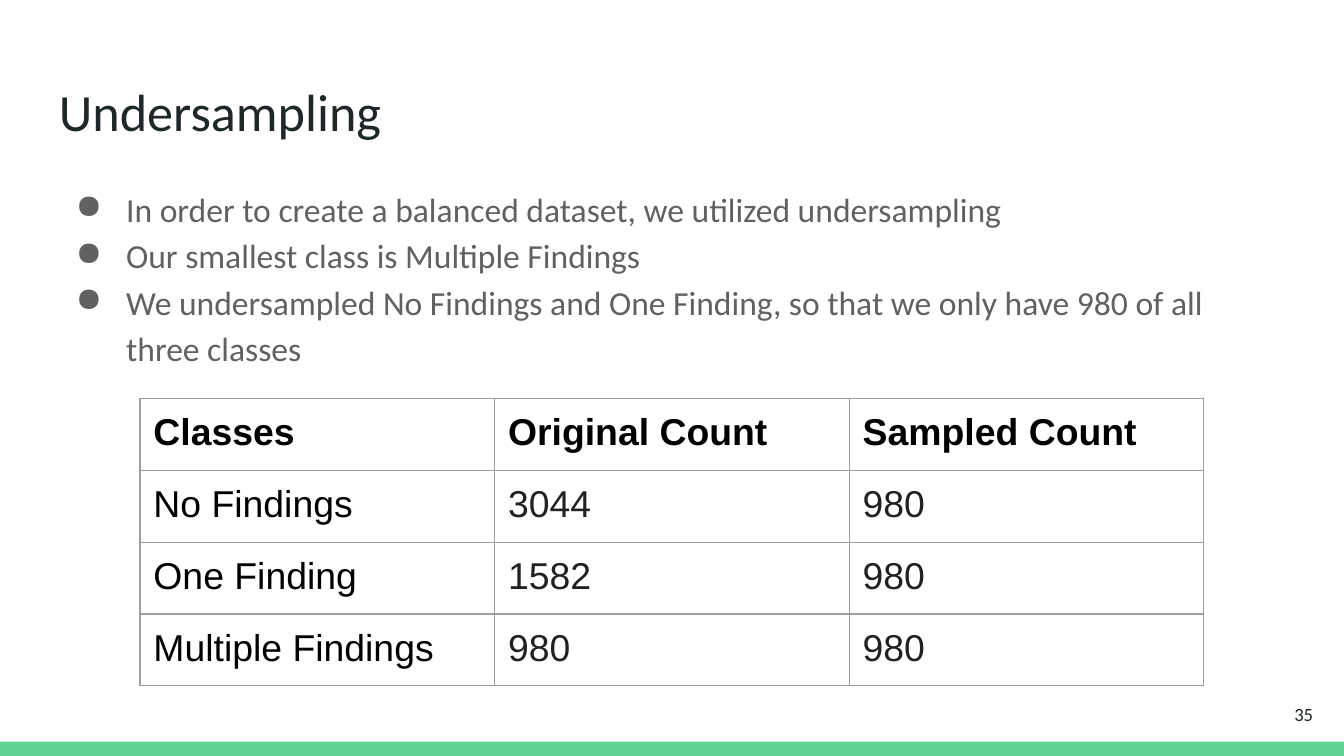
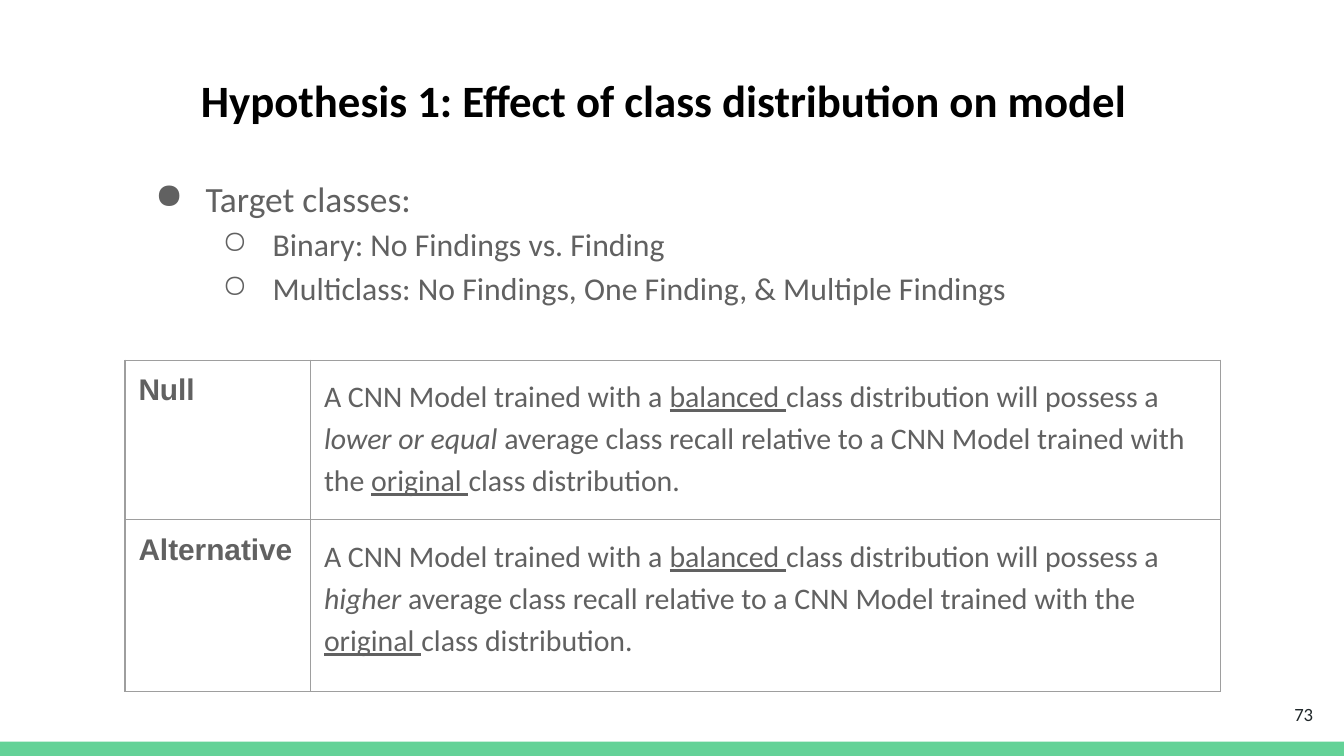
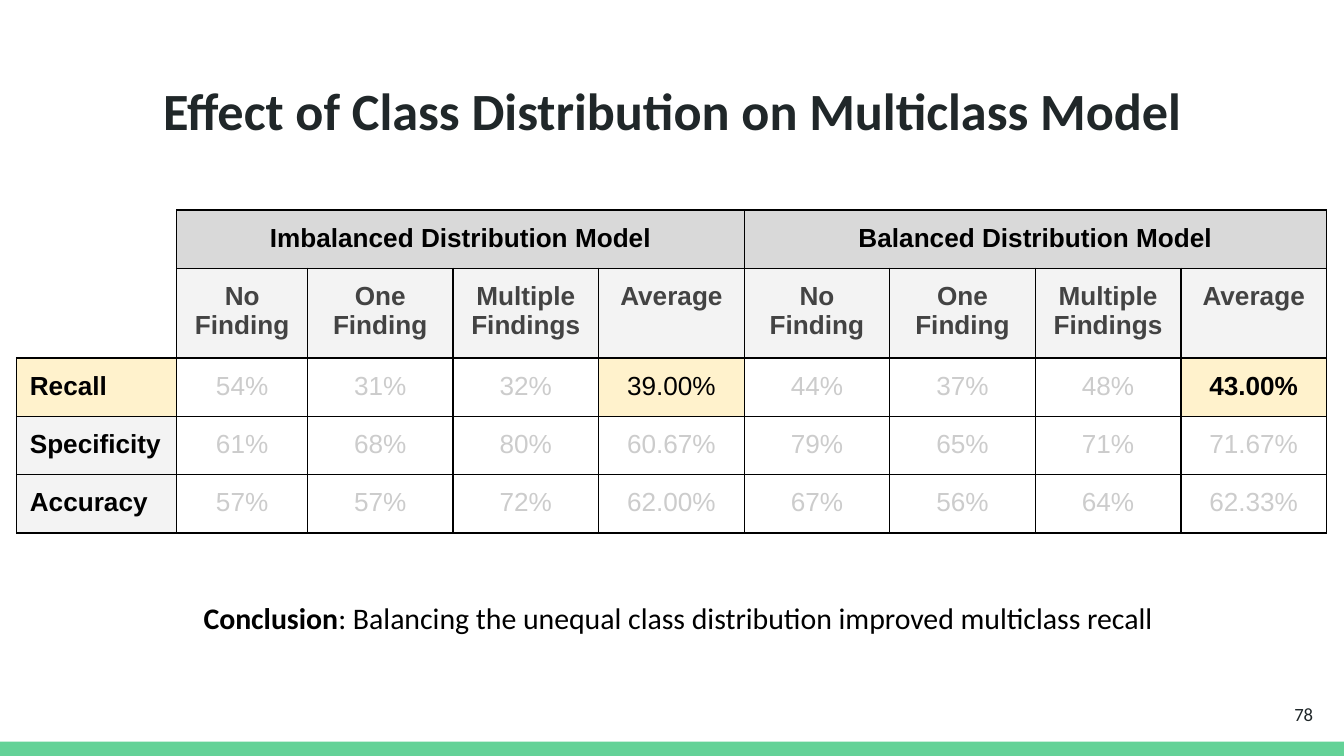
from lxml import etree
from pptx import Presentation
from pptx.dml.color import RGBColor
from pptx.enum.shapes import MSO_SHAPE
from pptx.enum.text import MSO_ANCHOR, PP_ALIGN
from pptx.oxml.ns import qn
from pptx.util import Pt

RECT = MSO_SHAPE.RECTANGLE
TOP, MIDDLE = MSO_ANCHOR.TOP, MSO_ANCHOR.MIDDLE
LEFT, CENTER, RIGHT = PP_ALIGN.LEFT, PP_ALIGN.CENTER, PP_ALIGN.RIGHT

WHITE = RGBColor(0xFF, 0xFF, 0xFF)
BLACK = RGBColor(0, 0, 0)
INK = RGBColor(0x20, 0x27, 0x29)
COUNT = RGBColor(0x21, 0x21, 0x21)
BODY = RGBColor(0x61, 0x61, 0x61)
HEAD = RGBColor(0x43, 0x43, 0x43)
FAINT = RGBColor(0xCC, 0xCC, 0xCC)
RULE = RGBColor(0x9E, 0x9E, 0x9E)
GREEN = RGBColor(0x63, 0xD2, 0x97)
GREY = RGBColor(0xD9, 0xD9, 0xD9)
PALE = RGBColor(0xF3, 0xF3, 0xF3)
CREAM = RGBColor(0xFF, 0xF2, 0xCC)

SANS, GRID = "Calibri", "Arial"
WIDE, HIGH = 720, 405
BAND = 7.6
INSET = 7.2
SIDES = "LRTB"


# Text
def write(para, text, font=SANS, size=18, color=BODY, bold=False,
          align=LEFT, space=None, after=None):
    """Text is a string, or (string, marks) runs with marks from b, i, u."""
    para.alignment = align
    if space:
        para.line_spacing = space
    if after:
        para.space_after = Pt(after)
    runs = [(text, "")] if isinstance(text, str) else text
    for words, marks in runs:
        run = para.add_run()
        run.text = words
        face = run.font
        face.name, face.size = font, Pt(size)
        face.color.rgb = color
        face.bold = bold or "b" in marks
        face.italic = "i" in marks
        face.underline = "u" in marks


def set_inset(item):
    item.margin_left = item.margin_right = Pt(INSET)
    item.margin_top = item.margin_bottom = Pt(INSET)


def add_frame(slide, box, anchor=TOP):
    frame = slide.shapes.add_textbox(*map(Pt, box)).text_frame
    frame.word_wrap = True
    frame.vertical_anchor = anchor
    set_inset(frame)
    return frame


def add_text(slide, box, text, anchor=TOP, **form):
    write(add_frame(slide, box, anchor).paragraphs[0], text, **form)


def add_list(slide, box, items):
    """Each item is (level, size, text)."""
    frame = add_frame(slide, box)
    for i, (level, size, text) in enumerate(items):
        para = frame.add_paragraph() if i else frame.paragraphs[0]
        para.level = level
        props = para._p.get_or_add_pPr()
        props.set("marL", str(Pt(36 * (level + 1))))
        props.set("indent", str(-Pt(27)))
        tint = etree.SubElement(props, qn("a:buClr"))
        etree.SubElement(tint, qn("a:srgbClr"), val=str(BODY))
        etree.SubElement(props, qn("a:buChar"), char="●○"[level])
        write(para, text, size=size, space=1.15)


# Tables
def add_grid(slide, left, top, cols, rows):
    table = slide.shapes.add_table(
        len(rows), len(cols), Pt(left), Pt(top),
        Pt(sum(cols)), Pt(sum(rows))).table
    table.first_row = table.horz_banding = False
    for col, width in zip(table.columns, cols):
        col.width = Pt(width)
    for row, height in zip(table.rows, rows):
        row.height = Pt(height)
    return table


def style_cell(cell, edge, fill=None, sides=SIDES):
    set_inset(cell)
    props = cell._tc.get_or_add_tcPr()
    for side in SIDES:
        line = etree.SubElement(props, qn("a:ln" + side), w=str(Pt(0.75)))
        if side in sides:
            paint = etree.SubElement(line, qn("a:solidFill"))
            etree.SubElement(paint, qn("a:srgbClr"), val=str(edge))
        else:
            etree.SubElement(line, qn("a:noFill"))
    if fill is None:
        cell.fill.background()
    else:
        cell.fill.solid()
        cell.fill.fore_color.rgb = fill


def fill_cell(cell, text, **form):
    write(cell.text_frame.paragraphs[0], text, **form)


def count_table(slide, left, top):
    data = [("Classes", "Original Count", "Sampled Count"),
            ("No Findings", "3044", "980"),
            ("One Finding", "1582", "980"),
            ("Multiple Findings", "980", "980")]
    table = add_grid(slide, left, top, [190] * 3, [30] * 4)
    for r, row in enumerate(data):
        for c, text in enumerate(row):
            cell = table.cell(r, c)
            style_cell(cell, RULE)
            fill_cell(cell, text, font=GRID, size=20, bold=r == 0,
                      color=COUNT if r and c else BLACK)


def claim_table(slide, left, top):
    claims = [("Null", "lower or equal "), ("Alternative", "higher ")]
    table = add_grid(slide, left, top, [99.4, 487.4], [85.5, 92])
    for r, (name, level) in enumerate(claims):
        label, claim = table.cell(r, 0), table.cell(r, 1)
        style_cell(label, RULE)
        style_cell(claim, RULE)
        fill_cell(label, name, font=GRID, size=16, bold=True)
        fill_cell(claim, [
            ("A CNN Model trained with a ", ""),
            ("balanced ", "u"),
            ("class distribution will possess a ", ""),
            (level, "i"),
            ("average class recall relative to a CNN Model trained with the ",
             ""),
            ("original ", "u"),
            ("class distribution.", "")], size=16, space=1.15, after=10)


def score_table(slide, left, top):
    models = ["Imbalanced Distribution Model", "Balanced Distribution Model"]
    heads = ["No Finding", "One Finding", "Multiple Findings", "Average"]
    scores = [
        ("Recall", "54%", "31%", "32%", "39.00%",
         "44%", "37%", "48%", "43.00%"),
        ("Specificity", "61%", "68%", "80%", "60.67%",
         "79%", "65%", "71%", "71.67%"),
        ("Accuracy", "57%", "57%", "72%", "62.00%",
         "67%", "56%", "64%", "62.33%")]
    span, last = len(heads), 2 * len(heads)
    table = add_grid(slide, left, top, [86, 70] + [78] * 7,
                     [31, 31, 31, 30, 30])

    # Empty corner and model heads
    for r in range(2):
        style_cell(table.cell(r, 0), BLACK, WHITE, "RB")
    table.cell(0, 0).merge(table.cell(1, 0))
    for c in range(1, last + 1):
        style_cell(table.cell(0, c), BLACK, GREY)
    for i, model in enumerate(models):
        first = 1 + i * span
        table.cell(0, first).merge(table.cell(0, first + span - 1))
        fill_cell(table.cell(0, first), model, font=GRID, size=14,
                  color=BLACK, bold=True, align=CENTER)

    # Class heads
    for c, head in enumerate(heads * 2, 1):
        cell = table.cell(1, c)
        style_cell(cell, BLACK, PALE)
        fill_cell(cell, head, font=GRID, size=14, color=HEAD, bold=True,
                  align=CENTER)

    # Scores, with the recall averages picked out
    for r, row in enumerate(scores, 2):
        for c, text in enumerate(row):
            cell = table.cell(r, c)
            key = r == 2 and c % span == 0
            fill = CREAM if key else WHITE if c else PALE
            style_cell(cell, BLACK, fill)
            fill_cell(cell, text, font=GRID, size=14,
                      color=FAINT if c and not key else BLACK,
                      bold=c == 0 or (key and c == last),
                      align=CENTER if c else LEFT)


# Shared slide parts
def add_slide(deck, page, title, left=24.5, top=35, **form):
    slide = deck.slides.add_slide(deck.slide_layouts[6])
    slide.background.fill.solid()
    slide.background.fill.fore_color.rgb = WHITE
    band = slide.shapes.add_shape(
        RECT, Pt(0), Pt(HIGH - BAND), Pt(WIDE), Pt(BAND))
    band.shadow.inherit = False
    band.fill.solid()
    band.fill.fore_color.rgb = GREEN
    band.line.fill.background()
    look = {"size": 28, "color": INK, **form}
    add_text(slide, (left, top, 671, 45), title, **look)
    add_text(slide, (667.5, 367, 43, 31), page, MIDDLE,
             size=10, color=INK, align=RIGHT)
    return slide


# Slides
def sample_slide(deck):
    slide = add_slide(deck, "35", "Undersampling")
    lines = [
        "In order to create a balanced dataset, we utilized undersampling",
        "Our smallest class is Multiple Findings",
        "We undersampled No Findings and One Finding, so that we only have "
        "980 of all three classes"]
    add_list(slide, (24.5, 90.7, 671, 269), [(0, 18, t) for t in lines])
    count_table(slide, 75, 213.6)


def claim_slide(deck):
    slide = add_slide(
        deck, "73", "Hypothesis 1: Effect of class distribution on model",
        left=20, top=27.4, size=24, color=BLACK, bold=True, align=CENTER,
        space=1.15, after=10)
    add_list(slide, (67, 84.2, 586, 302), [
        (0, 19, "Target classes:"),
        (1, 17, "Binary: No Findings vs. Finding"),
        (1, 17, "Multiclass: No Findings, One Finding, & Multiple Findings")])
    claim_table(slide, 67, 193)


def score_slide(deck):
    slide = add_slide(
        deck, "78", "Effect of Class Distribution on Multiclass Model",
        top=34.5, bold=True, align=CENTER)
    score_table(slide, 8.8, 112.5)
    add_text(slide, (63.4, 314, 600, 34), [
        ("Conclusion", "b"),
        (": Balancing the unequal class distribution improved multiclass "
         "recall", "")], size=16, color=BLACK, align=CENTER)


def main():
    deck = Presentation()
    deck.slide_width, deck.slide_height = Pt(WIDE), Pt(HIGH)
    sample_slide(deck)
    claim_slide(deck)
    score_slide(deck)
    deck.save("out.pptx")


if __name__ == "__main__":
    main()
